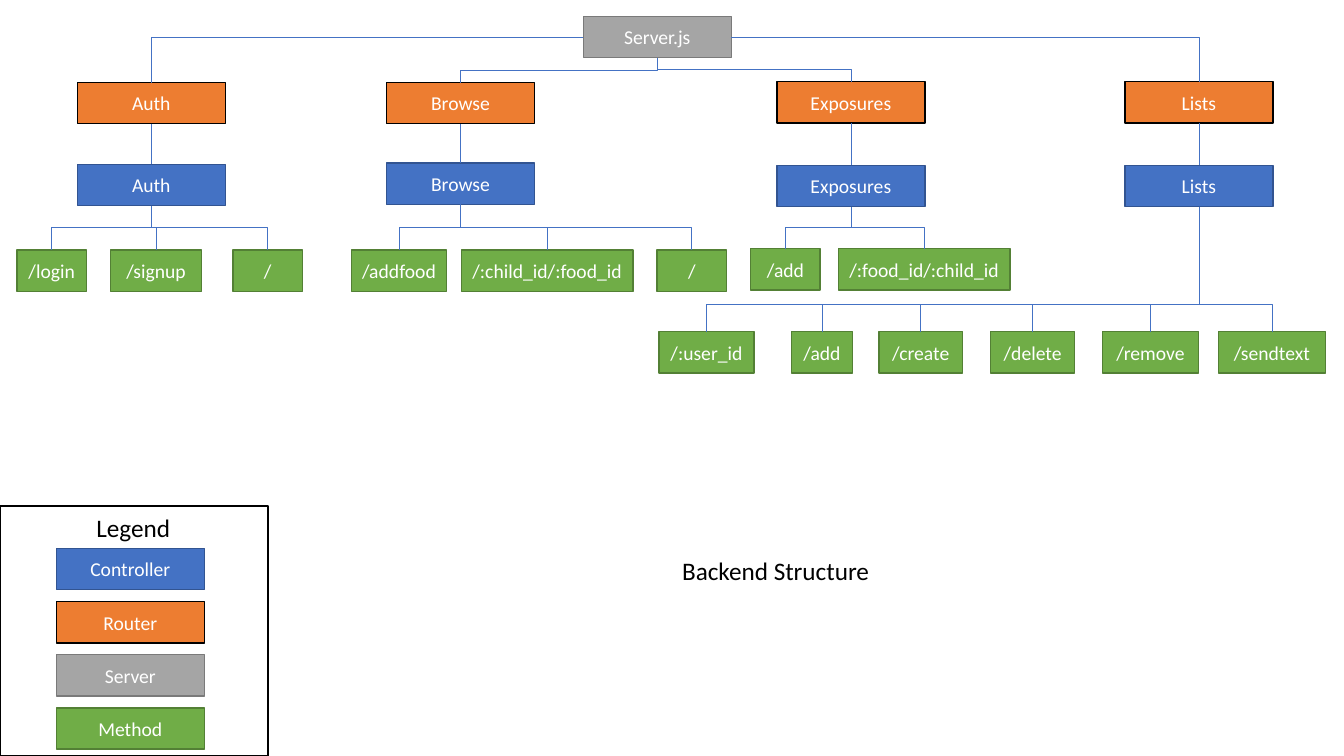
from lxml.etree import SubElement
from pptx import Presentation
from pptx.dml.color import RGBColor
from pptx.enum.shapes import MSO_CONNECTOR, MSO_SHAPE
from pptx.enum.text import MSO_ANCHOR, PP_ALIGN
from pptx.oxml.ns import qn
from pptx.util import Cm, Pt

BOX_W, BOX_H = 3.73, 1.04
TOP, LEFT, BOTTOM, RIGHT = range(4)
STYLES = {
    "Controller": ("4472C4", "325491"),
    "Router": ("ED7D31", "000000"),
    "Server": ("A5A5A5", "7A7A7A"),
    "Method": ("70AD47", "538035"),
}


def rgb(value):
    return RGBColor.from_string(value)


def write(sp, text, size=14, color="FFFFFF", align=PP_ALIGN.CENTER, anchor=MSO_ANCHOR.MIDDLE):
    tf = sp.text_frame
    tf.word_wrap = False
    tf.vertical_anchor = anchor
    p = tf.paragraphs[0]
    p.alignment = align
    r = p.add_run()
    r.text = text
    r.font.name = "Calibri"
    r.font.size = Pt(size)
    r.font.color.rgb = rgb(color)


def add_rect(s, x, y, w, h, line, fill=None):
    sp = s.shapes.add_shape(MSO_SHAPE.RECTANGLE, Cm(x), Cm(y), Cm(w), Cm(h))
    sp.shadow.inherit = False
    if fill:
        sp.fill.solid()
        sp.fill.fore_color.rgb = rgb(fill)
    else:
        sp.fill.background()
    sp.line.color.rgb = rgb(line)
    sp.line.width = Pt(1)
    return sp


def add_node(s, kind, text, x, y, w=BOX_W):
    fill, line = STYLES[kind]
    sp = add_rect(s, x, y, w, BOX_H, line, fill)
    write(sp, text)
    return sp


def add_label(s, text, x, y, w):
    sp = s.shapes.add_textbox(Cm(x), Cm(y), Cm(w), Cm(1.02))
    write(sp, text, size=18, color="000000", align=PP_ALIGN.LEFT, anchor=MSO_ANCHOR.TOP)


def link(s, start, end, kind=MSO_CONNECTOR.STRAIGHT, site=BOTTOM):
    cxn = s.shapes.add_connector(kind, 0, 0, 0, 0)
    cxn.begin_connect(start, site)
    cxn.end_connect(end, TOP)
    cxn.line.color.rgb = rgb("4472C4")
    cxn.line.width = Pt(0.5)
    SubElement(cxn._element.spPr, qn("a:effectLst"))
    return cxn


def link_side(s, start, end, site):
    cxn = link(s, start, end, MSO_CONNECTOR.ELBOW, site)
    cxn._element.spPr.find(qn("a:prstGeom")).set("prst", "bentConnector2")


def link_down(s, start, end, bend=0.5):
    cxn = link(s, start, end, MSO_CONNECTOR.ELBOW)
    dx, dy = cxn.end_x - cxn.begin_x, cxn.end_y - cxn.begin_y
    mid_x, mid_y = (cxn.begin_x + cxn.end_x) // 2, (cxn.begin_y + cxn.end_y) // 2
    cxn.width, cxn.height = dy, abs(dx)
    cxn.left, cxn.top = mid_x - dy // 2, mid_y - abs(dx) // 2
    spPr = cxn._element.spPr
    xfrm = spPr.find(qn("a:xfrm"))
    xfrm.set("rot", str((270 if dx > 0 else 90) * 60000))
    xfrm.set("flipH", "1" if dx > 0 else "0")
    avLst = spPr.find(qn("a:prstGeom")).find(qn("a:avLst"))
    SubElement(avLst, qn("a:gd"), name="adj1", fmla=f"val {round(bend * 100000)}")


def add_branch(s, name, x, y, indent, controller_dy, method_dy, methods, bend=0.5):
    router = add_node(s, "Router", name, x + indent, y)
    controller = add_node(s, "Controller", name, x + indent, y + controller_dy)
    link(s, router, controller)
    for text, dx, w in methods:
        method = add_node(s, "Method", text, x + dx, y + method_dy, w)
        link_down(s, controller, method, bend)
    return router


def add_tree(s, x, y):
    server = add_node(s, "Server", "Server.js", x + 14.7, y)
    auth = add_branch(s, "Auth", x + 0.43, y + 1.67, 1.52, 2.06, 4.22, [
        ("/login", 0, 1.75), ("/signup", 2.36, 2.29), ("/", 5.44, 1.75)])
    browse = add_branch(s, "Browse", x + 8.86, y + 1.67, 0.88, 2.03, 4.22, [
        ("/addfood", 0, 2.39), ("/:child_id/:food_id", 2.77, 4.32), ("/", 7.7, 1.75)])
    exposures = add_branch(s, "Exposures", x + 18.92, y + 1.65, 0.66, 2.11, 4.21, [
        ("/add", 0, 1.75), ("/:food_id/:child_id", 2.21, 4.32)])
    lists = add_branch(s, "Lists", x + 16.61, y + 1.65, 11.74, 2.11, 6.3, [
        ("/:user_id", 0, 2.39), ("/add", 3.33, 1.55), ("/create", 5.54, 2.11),
        ("/delete", 8.36, 2.11), ("/remove", 11.18, 2.41), ("/sendtext", 14.1, 2.69)], 0.78)
    link_side(s, server, auth, LEFT)
    link_side(s, server, lists, RIGHT)
    for router in (browse, exposures):
        link_down(s, server, router)


def add_legend(s, x, y, w, h):
    add_rect(s, x, y, w, h, "000000")
    add_label(s, "Legend", x + 2.18, y + 0.03, 2.39)
    for i, kind in enumerate(STYLES):
        add_node(s, kind, kind, x + 1.42, y + 1.07 + i * 1.34)


prs = Presentation()
prs.slide_width, prs.slide_height = Cm(33.87), Cm(19.05)
s = prs.slides.add_slide(prs.slide_layouts[6])
add_tree(s, 0, 0.41)
add_legend(s, 0, 12.75, 6.76, 6.3)
add_label(s, "Backend Structure", 16.94, 13.87, 5.28)
prs.save("out.pptx")
